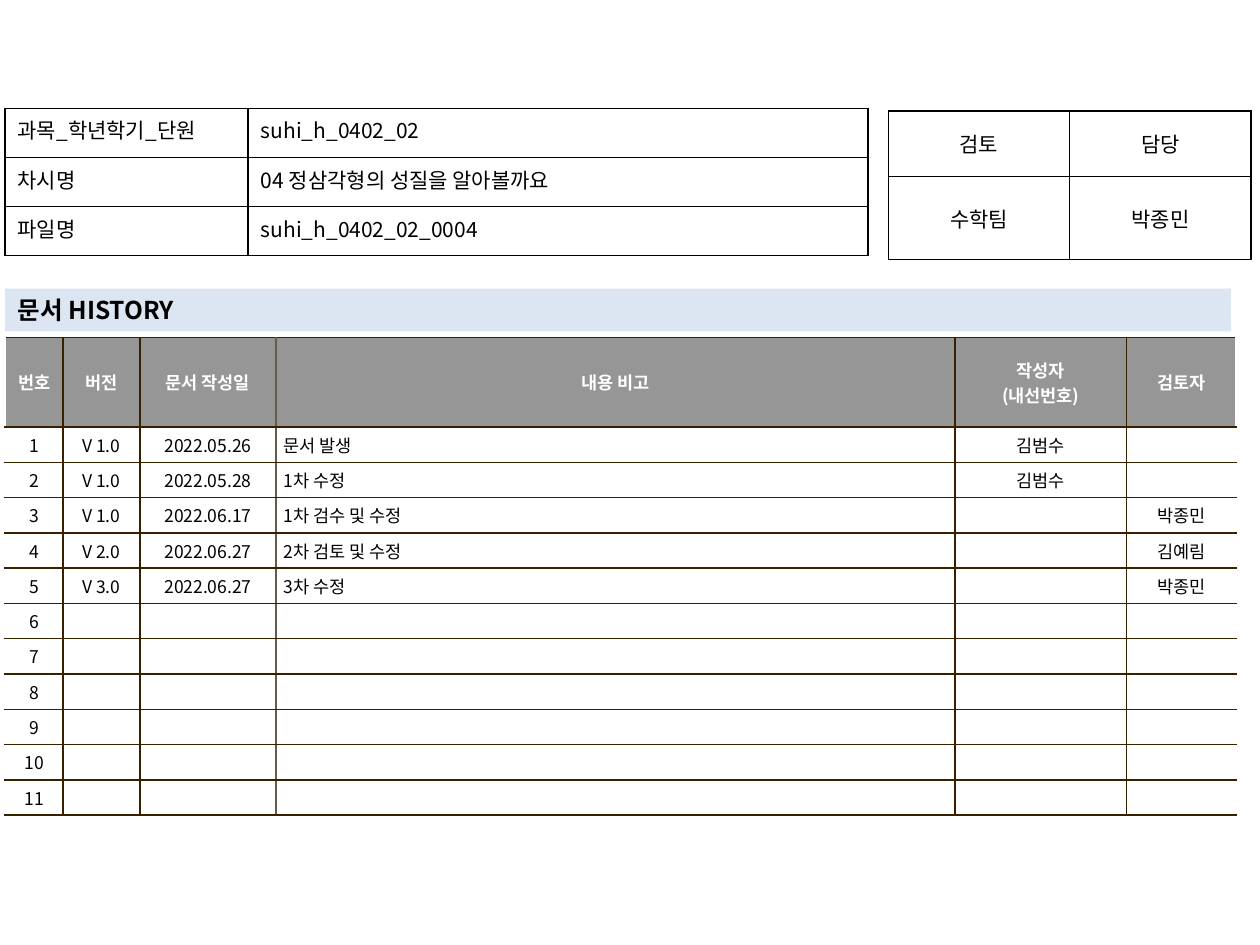
from lxml import etree
from pptx import Presentation
from pptx.dml.color import RGBColor
from pptx.enum import text as t
from pptx.oxml.ns import qn
from pptx.util import Inches, Pt

FONT = "Noto Sans CJK KR"
BLACK = RGBColor(0, 0, 0)
WHITE = RGBColor(255, 255, 255)
GRAY = RGBColor(0x96, 0x96, 0x96)
PALE = RGBColor(0xDC, 0xE6, 0xF2)
BROWN = RGBColor(0x36, 0x20, 0x00)
TAUPE = RGBColor(0x64, 0x5B, 0x4C)
LEFT, MID, JUST = t.PP_ALIGN.LEFT, t.PP_ALIGN.CENTER, t.PP_ALIGN.JUSTIFY

INFO = [
    ["과목_학년학기_단원", "suhi_h_0402_02"],
    ["차시명", "04 정삼각형의 성질을 알아볼까요"],
    ["파일명", "suhi_h_0402_02_0004"],
]
TEAM = [["검토", "담당"], ["수학팀", "박종민"]]
HEAD = ["번호", "버전", "문서 작성일", "내용 비고", "작성자\n(내선번호)", "검토자"]
LOG = [
    ["V 1.0", "2022.05.26", "문서 발생", "김범수", ""],
    ["V 1.0", "2022.05.28", "1차 수정", "김범수", ""],
    ["V 1.0", "2022.06.17", "1차 검수 및 수정", "", "박종민"],
    ["V 2.0", "2022.06.27", "2차 검토 및 수정", "", "김예림"],
    ["V 3.0", "2022.06.27", "3차 수정", "", "박종민"],
]
ROWS = 11


def style(frame, size, color, bold, align):
    for para in frame.paragraphs:
        para.alignment = align
        for run in para.runs:
            font = run.font
            font.size, font.bold, font.name = Pt(size), bold, FONT
            font.color.rgb = color
            east = etree.SubElement(run._r.get_or_add_rPr(), qn("a:ea"))
            east.set("typeface", FONT)
        # An empty cell keeps the text size, so its row stays low
        if not para.runs:
            end = etree.SubElement(para._p, qn("a:endParaRPr"))
            end.set("sz", str(size * 100))


def border(cell, sides):
    props = cell._tc.get_or_add_tcPr()
    for side in "LRTB":
        if side in sides:
            line = etree.SubElement(props, qn("a:ln" + side), w=str(Pt(1)))
            fill = etree.SubElement(line, qn("a:solidFill"))
            etree.SubElement(fill, qn("a:srgbClr"), val=str(sides[side]))


def add_grid(slide, left, top, cols, rows, data):
    frame = slide.shapes.add_table(
        len(rows), len(cols), Inches(left), Inches(top),
        Inches(sum(cols)), Inches(sum(rows)))
    table = frame.table
    table.first_row = table.horz_banding = False
    for col, width in zip(table.columns, cols):
        col.width = Inches(width)
    for row, height in zip(table.rows, rows):
        row.height = Inches(height)
    for r, line in enumerate(data):
        for c, words in enumerate(line):
            table.cell(r, c).text = words
    return table


def add_form(slide, left, top, cols, rows, data, aligns, anchor):
    table = add_grid(slide, left, top, cols, rows, data)
    for row in table.rows:
        for cell, align in zip(row.cells, aligns):
            style(cell.text_frame, 12, BLACK, False, align)
            border(cell, dict.fromkeys("LRTB", BLACK))
            cell.fill.background()
            cell.vertical_anchor = anchor


def add_log(slide):
    cols = [0.46, 0.61, 1.08, 5.39, 1.36, 0.87]
    data = [HEAD]
    for i in range(ROWS):
        data.append([str(i + 1)] + (LOG[i] if i < len(LOG) else [""] * 5))
    table = add_grid(slide, 0.04, 2.68, cols, [0.71] + [0.25] * ROWS, data)

    # Inner column lines; the outer left and right sides stay open
    lines = [None, BROWN, BROWN, TAUPE, BROWN, BROWN, None]
    for r, row in enumerate(table.rows):
        for c, cell in enumerate(row.cells):
            head = r == 0
            align = LEFT if c == 3 and not head else MID
            style(cell.text_frame, 10, WHITE if head else BLACK, head, align)
            sides = {"L": lines[c], "R": lines[c + 1], "T": BROWN, "B": BROWN}
            border(cell, {k: v for k, v in sides.items() if v is not None})
            cell.fill.solid()
            cell.fill.fore_color.rgb = GRAY if head else WHITE
            cell.vertical_anchor = t.MSO_ANCHOR.MIDDLE
            cell.margin_left = cell.margin_right = Inches(0.06)
            cell.margin_top = cell.margin_bottom = Inches(0.04)


def set_title(slide):
    title = slide.shapes.title
    title.left, title.top = Inches(0.04), Inches(2.29)
    title.width, title.height = Inches(9.73), Inches(0.34)
    title.fill.solid()
    title.fill.fore_color.rgb = PALE
    frame = title.text_frame
    frame.text = "문서 HISTORY"
    frame.auto_size = t.MSO_AUTO_SIZE.NONE
    frame.vertical_anchor = t.MSO_ANCHOR.MIDDLE
    style(frame, 14, BLACK, True, LEFT)


def main():
    deck = Presentation()
    deck.slide_width, deck.slide_height = Inches(10), Inches(7.5)
    slide = deck.slides.add_slide(deck.slide_layouts[5])

    # Document details and reviewers
    add_form(slide, 0.04, 0.86, [1.93, 4.92], [0.39] * 3, INFO,
             [JUST, LEFT], t.MSO_ANCHOR.TOP)
    add_form(slide, 7.05, 0.88, [1.44] * 2, [0.52, 0.66], TEAM,
             [MID, MID], t.MSO_ANCHOR.MIDDLE)

    # Revision history
    set_title(slide)
    add_log(slide)
    deck.save("out.pptx")


if __name__ == "__main__":
    main()
